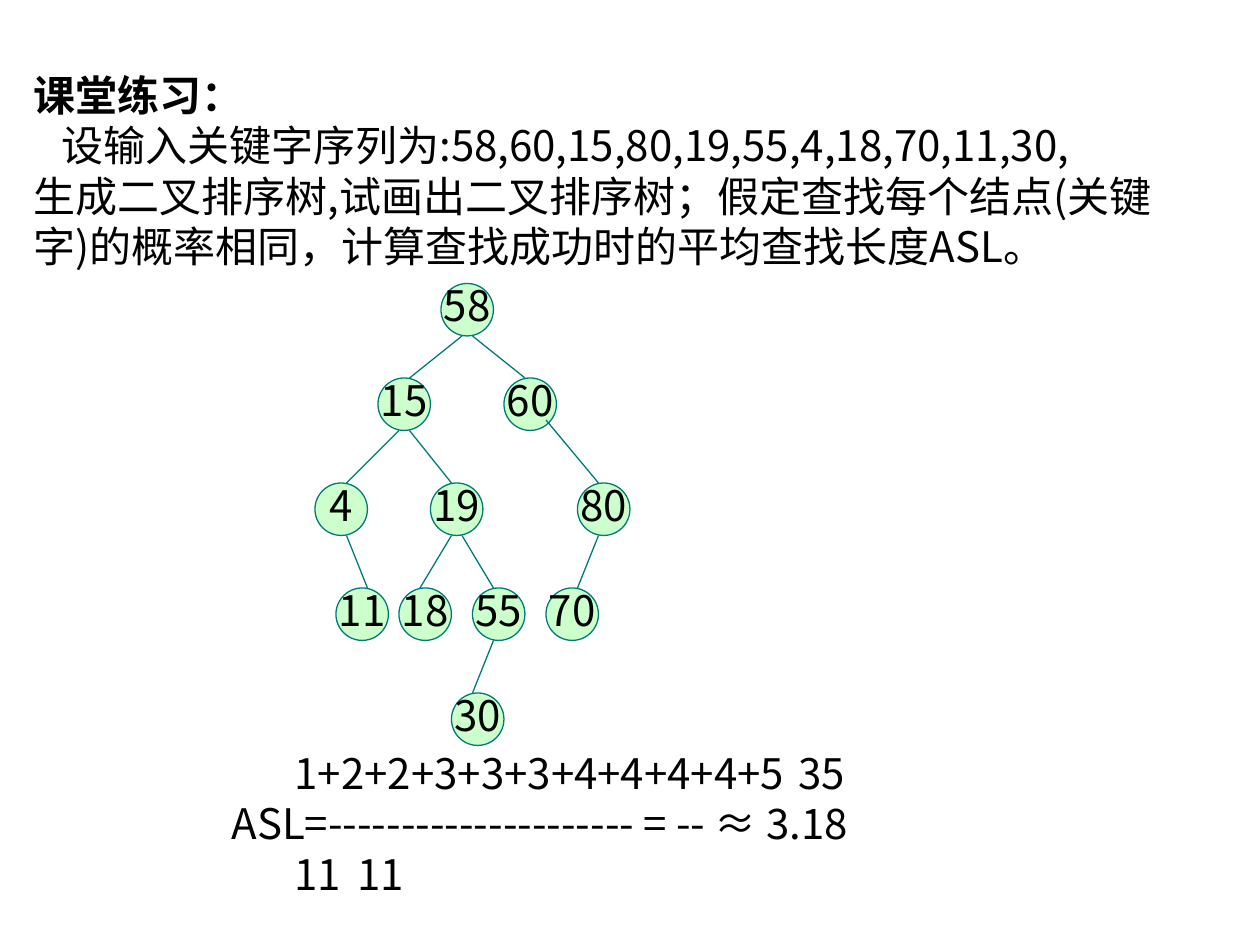
"""Build a class exercise slide on a binary search tree and its average search length."""
from dataclasses import dataclass

from lxml.etree import SubElement
from pptx import Presentation
from pptx.dml.color import RGBColor
from pptx.enum.shapes import MSO_CONNECTOR, MSO_SHAPE
from pptx.enum.text import MSO_ANCHOR, MSO_AUTO_SIZE, PP_ALIGN
from pptx.oxml.ns import qn
from pptx.util import Cm, Pt

FONT = "Noto Sans CJK SC"
BLACK, GREEN, TEAL = "000000", "CCFFCC", "007A77"
GRID = 2.54 / 12
DIAMETER = 5


@dataclass(frozen=True)
class Node:
    key: str
    left: float
    top: float


@dataclass(frozen=True)
class Edge:
    parent: str
    child: str
    start_shift: float
    end_shift: float
    lift: float = 0


@dataclass(frozen=True)
class Line:
    text: str
    bold: bool = False
    indent: float = 0
    tabs: tuple[float, ...] = ()


NODES = (
    Node("58", 42, 27),
    Node("15", 36, 36), Node("60", 48, 36),
    Node("4", 30, 46), Node("19", 41, 46), Node("80", 55, 46),
    Node("11", 32, 56), Node("18", 38, 56), Node("55", 45, 56), Node("70", 52, 56),
    Node("30", 43, 66),
)
EDGES = (
    Edge("58", "15", -0.5, 0.5), Edge("58", "60", 0.5, -0.5),
    Edge("15", "4", -0.5, 0.5), Edge("15", "19", 0.5, -0.5),
    Edge("60", "80", 1.5, -0.5, lift=1),
    Edge("4", "11", 0.5, 0.5),
    Edge("19", "18", -0.5, -0.5), Edge("19", "55", 0.5, -0.5),
    Edge("80", "70", -0.5, 0.5),
    Edge("55", "30", -0.5, -0.5),
)
QUESTION = (
    Line("课堂练习：", bold=True),
    Line("设输入关键字序列为:58,60,15,80,19,55,4,18,70,11,30,", indent=0.56),
    Line("生成二叉排序树,试画出二叉排序树；假定查找每个结点(关键"),
    Line("字)的概率相同，计算查找成功时的平均查找长度ASL。"),
)
ANSWER = (
    Line("\t1+2+2+3+3+3+4+4+4+4+5\t35", tabs=(0.72, 11.15)),
    Line("ASL=--------------------- = -- ≈ 3.18"),
    Line("\t11\t11", tabs=(2.24, 5.85)),
)


def color(value: str) -> RGBColor:
    """Turn a hex string into a colour."""
    return RGBColor.from_string(value)


def grid(units: float) -> int:
    """Turn grid units into a length."""
    return Cm(units * GRID)


def add_span(para, text: str, bold: bool = False) -> None:
    """Add one formatted run to a paragraph."""
    span = para.add_run()
    span.text = text
    span.font.name = FONT
    span.font.size = Pt(24)
    span.font.bold = bold
    span.font.color.rgb = color(BLACK)
    SubElement(span.font._element, qn("a:ea"), typeface=FONT)


def write_lines(frame, lines: tuple[Line, ...]) -> None:
    """Write each line as its own paragraph."""
    for index, line in enumerate(lines):
        para = frame.add_paragraph() if index else frame.paragraphs[0]
        properties = para._p.get_or_add_pPr()
        properties.set("marL", str(Cm(line.indent)))
        properties.set("indent", "0")
        SubElement(properties, qn("a:buNone"))
        if line.tabs:
            stops = SubElement(properties, qn("a:tabLst"))
            for position in line.tabs:
                SubElement(stops, qn("a:tab"), pos=str(Cm(position)), algn="l")
        para.space_before = Pt(0)
        para.alignment = PP_ALIGN.LEFT
        add_span(para, line.text, line.bold)


def draw_node(page, node: Node) -> None:
    """Draw a tree node with its key."""
    circle = page.shapes.add_shape(
        MSO_SHAPE.OVAL, grid(node.left), grid(node.top), grid(DIAMETER), grid(DIAMETER))
    circle.shadow.inherit = False
    circle.fill.solid()
    circle.fill.fore_color.rgb = color(GREEN)
    circle.line.color.rgb = color(TEAL)
    circle.line.width = Pt(0.75)
    frame = circle.text_frame
    frame.word_wrap = False
    frame.vertical_anchor = MSO_ANCHOR.MIDDLE
    para = frame.paragraphs[0]
    para.alignment = PP_ALIGN.CENTER
    para.line_spacing = 0.8
    add_span(para, node.key)


def draw_edge(page, edge: Edge, nodes: dict[str, Node]) -> None:
    """Draw the line from a parent node down to its child."""
    parent, child = nodes[edge.parent], nodes[edge.child]
    radius = DIAMETER / 2
    connector = page.shapes.add_connector(
        MSO_CONNECTOR.STRAIGHT,
        grid(parent.left + radius + edge.start_shift),
        grid(parent.top + DIAMETER - edge.lift),
        grid(child.left + radius + edge.end_shift),
        grid(child.top))
    connector.line.color.rgb = color(TEAL)
    connector.line.width = Pt(0.75)
    SubElement(connector._element.spPr, qn("a:effectLst"))


def main() -> None:
    """Build and save the deck."""
    deck = Presentation()
    deck.slide_width, deck.slide_height = Cm(25.4), Cm(19.05)
    page = deck.slides.add_slide(deck.slide_layouts[1])
    title = page.shapes.title._element
    title.getparent().remove(title)

    question = page.placeholders[1]
    question.left, question.top = grid(2), grid(6)
    question.width, question.height = grid(114), grid(22)
    question.text_frame.auto_size = MSO_AUTO_SIZE.NONE
    write_lines(question.text_frame, QUESTION)

    for node in NODES:
        draw_node(page, node)
    nodes = {node.key: node for node in NODES}
    for edge in EDGES:
        draw_edge(page, edge, nodes)

    answer = page.shapes.add_textbox(Cm(4.42), Cm(14.94), Cm(13.18), Cm(3.3))
    answer.text_frame.word_wrap = False
    answer.text_frame.auto_size = MSO_AUTO_SIZE.SHAPE_TO_FIT_TEXT
    write_lines(answer.text_frame, ANSWER)

    deck.save("out.pptx")


if __name__ == "__main__":
    main()
